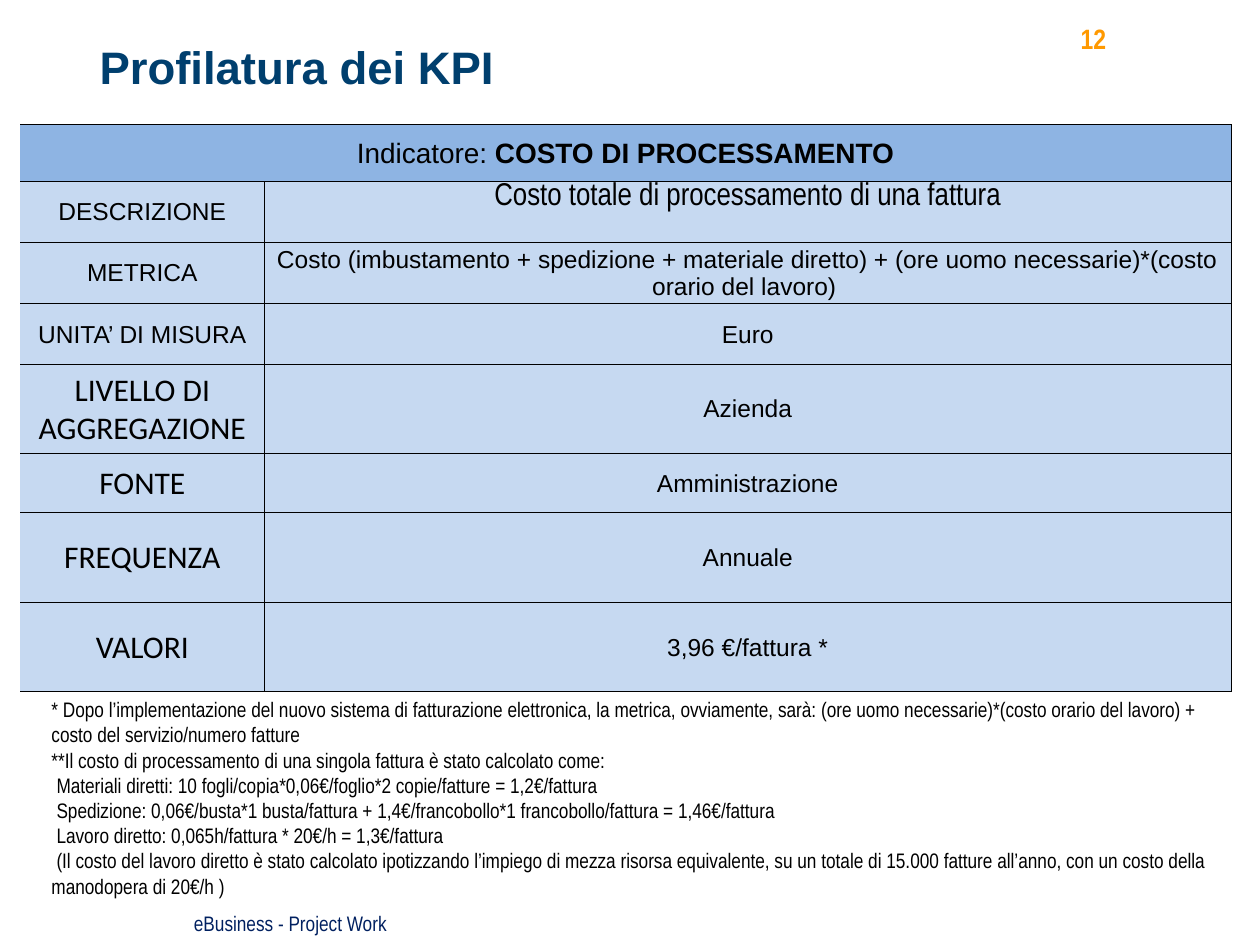
from pptx import Presentation
from pptx import util as u
from pptx.dml import color as c
from pptx.enum import text as t
from pptx.oxml import parse_xml
from pptx.oxml import ns

HUES = {
    "title": "003F6E", "page": "FF9900", "foot": "002060",
    "ink": "000000", "head": "8EB4E3", "cell": "C6D9F1",
}
WIDE = {"name": "Arial", "size": u.Pt(14), "bold": False}
LABEL = {"name": "Calibri", "size": u.Pt(18), "bold": False}
LEAD = {"name": "Arial Narrow", "size": u.Pt(18), "bold": False}
HEAD = {"name": "Arial", "size": u.Pt(16), "bold": False}
SMALL = {"name": "Arial Narrow", "size": u.Pt(12), "bold": False}
PAGE = {"name": "Arial Narrow", "size": u.Pt(16), "bold": True}
TITLE = {"name": "Arial", "size": u.Pt(26), "bold": True}
FLAT = {f"margin_{side}": 0 for side in ("left", "top", "right", "bottom")}
PAD = {**FLAT, "margin_left": u.Inches(0.01), "margin_right": u.Inches(0.01),
       "margin_top": u.Inches(0.01)}

HEIGHTS = [0.45, 0.48, 0.49, 0.48, 0.71, 0.47, 0.71, 0.71]
ROWS = [
    ("DESCRIZIONE", WIDE, "Costo totale di processamento di una fattura", LEAD),
    ("METRICA", WIDE, "Costo (imbustamento + spedizione + materiale diretto) + "
     "(ore uomo necessarie)*(costo orario del lavoro) ", WIDE),
    ("UNITA’ DI MISURA", WIDE, "Euro", WIDE),
    ("LIVELLO DI AGGREGAZIONE", LABEL, "Azienda", WIDE),
    ("FONTE", LABEL, "Amministrazione", WIDE),
    ("FREQUENZA", LABEL, "Annuale", WIDE),
    ("VALORI", LABEL, "3,96 €/fattura *", WIDE),
]
NOTES = [
    ("* Dopo l’implementazione del nuovo sistema di fatturazione elettronica, "
     "la metrica, ovviamente, sarà: (ore uomo necessarie)*(costo orario del "
     "lavoro) + costo del servizio/numero fatture", 0),
    ("**Il costo di processamento di una singola fattura è stato calcolato come:", 0),
    ("Materiali diretti: 10 fogli/copia*0,06€/foglio*2 copie/fatture = 1,2€/fattura", 0.04),
    ("Spedizione: 0,06€/busta*1 busta/fattura + 1,4€/francobollo*1 "
     "francobollo/fattura = 1,46€/fattura", 0.04),
    ("Lavoro diretto: 0,065h/fattura * 20€/h = 1,3€/fattura", 0.04),
    ("(Il costo del lavoro diretto è stato calcolato ipotizzando l’impiego di "
     "mezza risorsa equivalente, su un totale di 15.000 fatture all’anno, con "
     "un costo della manodopera di 20€/h )", 0.04),
]


def apply(item, vals):
    """Set each attribute of an item from a dict of values."""
    for key, val in vals.items():
        setattr(item, key, val)


def write(para, words, style, hue="ink", align=t.PP_ALIGN.LEFT):
    """Add a styled run to a paragraph."""
    run = para.add_run()
    run.text = words
    apply(run.font, style)
    run.font.color.rgb = c.RGBColor.from_string(HUES[hue])
    para.alignment = align


def add_box(slide, box, wrap=True):
    """Add a text box and return its frame."""
    frame = slide.shapes.add_textbox(*map(u.Inches, box)).text_frame
    frame.word_wrap = wrap
    return frame


def edge(cell, sides):
    """Draw thin lines on the named sides and none on the others."""
    for side in "LRTB":
        fill = (f'<a:solidFill><a:srgbClr val="{HUES["ink"]}"/></a:solidFill>'
                if side in sides else "<a:noFill/>")
        cell._tc.get_or_add_tcPr().append(parse_xml(
            f'<a:ln{side} {ns.nsdecls("a")} w="{u.Pt(0.5)}">{fill}</a:ln{side}>'))


def add_title(slide, box):
    """Place the title."""
    shape = slide.shapes.title
    apply(shape, dict(zip(("left", "top", "width", "height"), map(u.Inches, box))))
    frame = shape.text_frame
    apply(frame, {**FLAT, "vertical_anchor": t.MSO_ANCHOR.TOP,
                  "auto_size": t.MSO_AUTO_SIZE.NONE})
    write(frame.paragraphs[0], "Profilatura dei KPI", TITLE, "title")


def add_page(slide, box):
    """Place the page number."""
    frame = add_box(slide, box, False)
    apply(frame, FLAT)
    write(frame.paragraphs[0], "12", PAGE, "page", t.PP_ALIGN.RIGHT)


def add_grid(slide, box):
    """Place the indicator table."""
    grid = slide.shapes.add_table(len(HEIGHTS), 2, *map(u.Inches, box)).table
    for col, width in zip(grid.columns, (1.94, box[2] - 1.94)):
        col.width = u.Inches(width)
    for row, height in zip(grid.rows, HEIGHTS):
        row.height = u.Inches(height)
    for r, row in enumerate(grid.rows):
        for k, cell in enumerate(row.cells):
            edge(cell, "LRTB" if r and k else "RTB")
            cell.fill.solid()
            cell.fill.fore_color.rgb = c.RGBColor.from_string(
                HUES["cell" if r else "head"])
            apply(cell, {**PAD, "vertical_anchor": t.MSO_ANCHOR.MIDDLE})
    top = grid.cell(0, 0)
    top.merge(grid.cell(0, 1))
    para = top.text_frame.paragraphs[0]
    for words, bold in (("Indicatore: ", False), ("COSTO DI PROCESSAMENTO", True)):
        write(para, words, {**HEAD, "bold": bold}, align=t.PP_ALIGN.CENTER)
    for r, (label, look, value, style) in enumerate(ROWS, 1):
        for k, (words, font) in enumerate(((label, look), (value, style))):
            para = grid.cell(r, k).text_frame.paragraphs[0]
            write(para, words, font, align=t.PP_ALIGN.CENTER)
    grid.cell(1, 1).vertical_anchor = t.MSO_ANCHOR.TOP


def add_notes(slide, box):
    """Place the notes below the table."""
    frame = add_box(slide, box)
    for n, (words, dent) in enumerate(NOTES):
        para = frame.add_paragraph() if n else frame.paragraphs[0]
        write(para, words, SMALL)
        para._p.get_or_add_pPr().set("indent", str(u.Inches(dent)))


def add_foot(slide, box):
    """Place the footer."""
    para = add_box(slide, box).paragraphs[0]
    write(para, "eBusiness - Project Work", SMALL, "foot", t.PP_ALIGN.CENTER)


def main():
    """Build and save the slide."""
    deck = Presentation()
    deck.slide_width, deck.slide_height = u.Inches(10), u.Inches(7.5)
    slide = deck.slides.add_slide(deck.slide_layouts[5])
    add_foot(slide, (0, 7.18, 4.61, 0.3))
    add_title(slide, (0.79, 0.31, 6.5, 0.92))
    add_page(slide, (8.45, 0.17, 0.33, 0.27))
    add_grid(slide, (0.16, 0.99, 9.61, sum(HEIGHTS)))
    add_notes(slide, (0.31, 5.48, 9.45, 2.02))
    deck.save("out.pptx")


if __name__ == "__main__":
    main()
